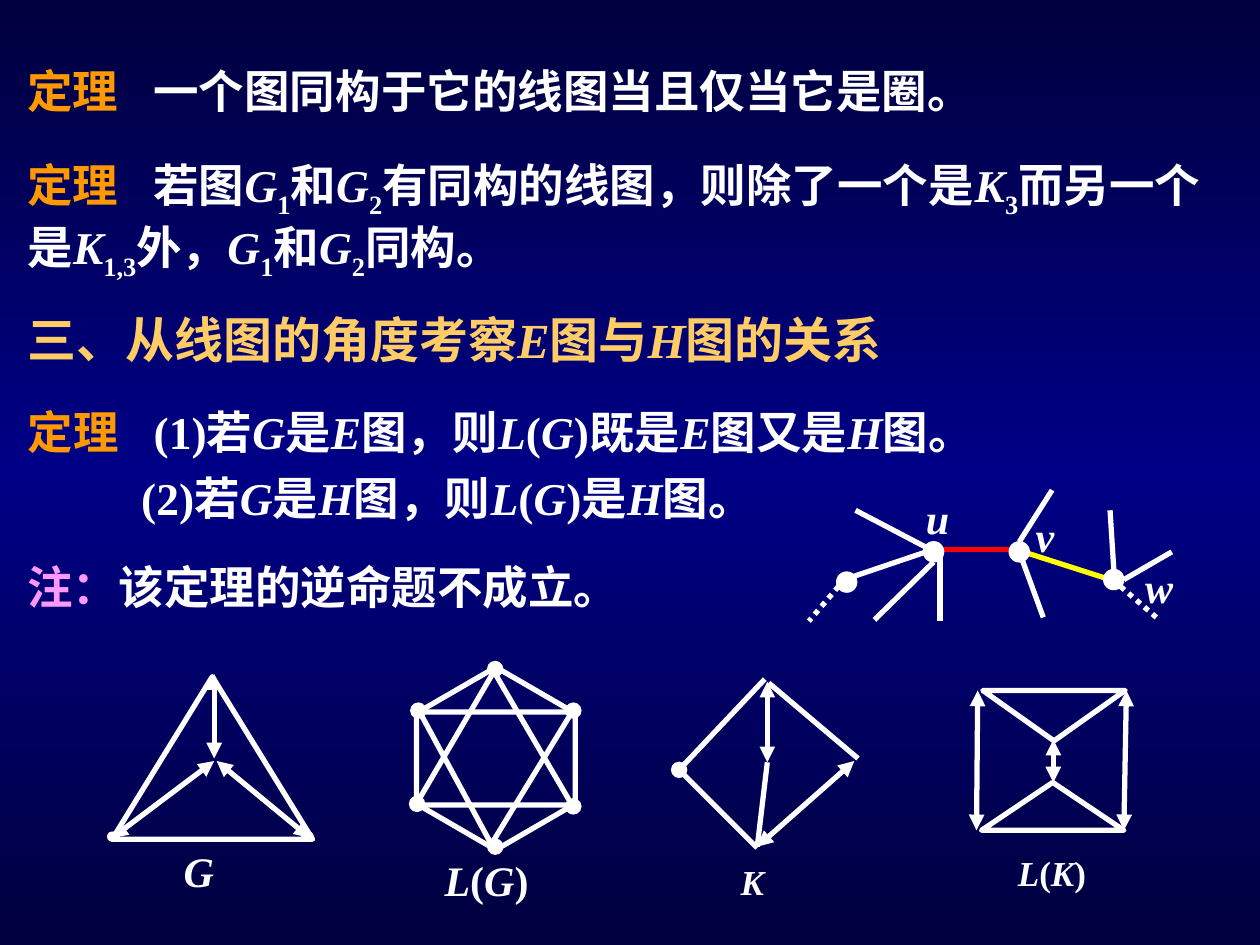
from copy import deepcopy
from dataclasses import dataclass
from itertools import groupby

from pptx import Presentation
from pptx import util as u
from pptx.dml.color import RGBColor
from pptx.enum import dml, lang, shapes, text
from pptx.oxml.ns import qn
from lxml import etree


@dataclass(frozen=True)
class Theme:
    font: str = "Times New Roman"
    white: str = "FFFFFF"
    theorem: str = "FF9900"
    heading: str = "FFCC66"
    note: str = "FF99FF"
    red: str = "FF0000"
    yellow: str = "FFFF00"
    edge_dark: str = "00003E"
    middle: str = "000086"
    heading_size: int = 28
    body_size: int = 26
    label_size: int = 24
    small_size: int = 20
    thick: float = 3
    thin: float = 0.75


def rgb(value):
    return RGBColor.from_string(value)


def styled(markup):
    """Yield (words, italic, subscript); *...* is italic and _..._ is subscript."""
    italic = subscript = False
    for mark, chars in groupby(markup, lambda c: c if c in "*_" else ""):
        if mark == "*":
            italic = not italic
        elif mark == "_":
            subscript = not subscript
        else:
            yield "".join(chars), italic, subscript


class Board:
    """The current slide on a grid of 100 columns by 75 rows."""

    def __init__(self, prs, theme):
        self.t = theme
        self.cell = prs.slide_width / 100
        self.s = prs.slides.add_slide(prs.slide_layouts[1])
        self.title, self.body = self.s.placeholders
        self.layer = self.s.shapes

    def grid(self, *values):
        return [u.Emu(round(v * self.cell)) for v in values]

    def background(self):
        fill = self.s.background.fill
        fill.gradient()
        fill.gradient_angle = 90
        stops = self.s.element.find(".//" + qn("a:gsLst"))
        stops.insert(1, deepcopy(stops[0]))
        colors = (self.t.edge_dark, self.t.middle, self.t.edge_dark)
        for stop, place, color in zip(fill.gradient_stops, (0, 0.5, 1), colors):
            stop.position = place
            stop.color.rgb = rgb(color)

    def group(self):
        self.layer = self.s.shapes.add_group_shape().shapes

    def text(self, box, paragraphs, size, sp=None, wrap=True):
        """Each paragraph is (indent, [(markup, colour), ...])."""
        if sp is None:
            sp = self.layer.add_textbox(*self.grid(*box))
        else:
            sp.left, sp.top, sp.width, sp.height = self.grid(*box)
        tf = sp.text_frame
        tf.word_wrap = wrap
        tf.auto_size = text.MSO_AUTO_SIZE.SHAPE_TO_FIT_TEXT
        tf.vertical_anchor = text.MSO_ANCHOR.TOP
        for i, (indent, parts) in enumerate(paragraphs):
            p = tf.add_paragraph() if i else tf.paragraphs[0]
            p.alignment = text.PP_ALIGN.LEFT
            p.space_before = u.Pt(6 if i else 0)
            pPr = p._p.get_or_add_pPr()
            pPr.set("marL", str(self.grid(indent)[0]))
            pPr.set("indent", "0")
            etree.SubElement(pPr, qn("a:buNone"))
            if any("\t" in markup for markup, _ in parts):
                tabs = etree.SubElement(pPr, qn("a:tabLst"))
                etree.SubElement(tabs, qn("a:tab"),
                                 pos=str(self.grid(9.7)[0]), algn="l")
            for markup, color in parts:
                for words, italic, subscript in styled(markup):
                    self.run(p, words, size, color, italic, subscript)

    def run(self, p, words, size, color, italic, subscript):
        r = p.add_run()
        r.text = words
        r.font.name, r.font.size = self.t.font, u.Pt(size)
        r.font.bold, r.font.italic = True, italic
        r.font.color.rgb = rgb(color)
        r.font.language_id = lang.MSO_LANGUAGE_ID.SIMPLIFIED_CHINESE
        if subscript:
            r._r.get_or_add_rPr().set("baseline", "-25000")

    def label(self, box, markup, size=None, wrap=True):
        self.text(box, [(0, [(markup, self.t.white)])],
                  size or self.t.label_size, wrap=wrap)

    def line(self, start, end, color=None, width=None, dotted=False, ends=None):
        c = self.layer.add_connector(shapes.MSO_CONNECTOR.STRAIGHT,
                                     *self.grid(*start, *end))
        c.line.color.rgb = rgb(color or self.t.white)
        c.line.width = u.Pt(width or self.t.thick)
        if dotted:
            c.line.dash_style = dml.MSO_LINE.ROUND_DOT
        if ends:
            for tag in ("a:headEnd", "a:tailEnd"):
                etree.SubElement(c.line._get_or_add_ln(), qn(tag), type=ends)
        etree.SubElement(c._element.spPr, qn("a:effectLst"))

    def outline(self, kind, box, rotation=0, adjust=None):
        sp = self.layer.add_shape(kind, *self.grid(*box))
        sp.shadow.inherit = False
        sp.fill.background()
        sp.line.color.rgb = rgb(self.t.white)
        sp.line.width = u.Pt(self.t.thick)
        sp.rotation = rotation
        if adjust is not None:
            sp.adjustments[0] = adjust
        return sp

    def dot(self, center, size):
        x, y = center
        sp = self.outline(shapes.MSO_SHAPE.OVAL,
                          (x - size / 2, y - size / 2, size, size))
        sp.fill.solid()
        sp.fill.fore_color.rgb = rgb(self.t.white)
        sp.line.width = u.Pt(self.t.thin)


def statements(b):
    t = b.t
    theorem = ("定理\t", t.theorem)
    b.text((1.2, 4.5, 97.6, 5.4),
           [(0, [theorem, ("一个图同构于它的线图当且仅当它是圈。", t.white)])], t.body_size)
    b.text((1.2, 12, 97.6, 10.9),
           [(0, [theorem, ("若图*G*_1_和*G*_2_有同构的线图，则除了一个是*K*_3_而另一个是"
                           "*K*_1,3_外，*G*_1_和*G*_2_同构。", t.white)])], t.body_size)
    b.text((1.2, 24.1, 75.6, 5.7),
           [(0, [("三、从线图的角度考察*E*图与*H*图的关系", t.heading)])],
           t.heading_size, b.title)
    b.text((1.2, 31.6, 97.6, 10.5),
           [(0, [theorem, ("(1)若*G*是*E*图，则*L*(*G*)既是*E*图又是*H*图。", t.white)]),
            (9, [("(2)若*G*是*H*图，则*L*(*G*)是*H*图。", t.white)])],
           t.body_size, b.body)
    b.text((1.2, 43.9, 95.3, 5.4),
           [(0, [("注：", t.note), ("该定理的逆命题不成立。", t.white)])], t.body_size)


def walk_u_v_w(b):
    b.group()
    start, node_u, node_v, node_w = (67.2, 46.2), (74.1, 43.8), (80.9, 43.8), (88.4, 46)
    b.line((74.1, 43.6), (67, 46))
    b.line((74.1, 43.6), (80.8, 43.6), b.t.red)
    b.line((80.6, 43.6), (88.1, 46), b.t.yellow)
    b.line((88.3, 46), (92, 49.2), dotted=True)
    b.line((67.1, 45.9), (64.2, 49.3), dotted=True)
    for node in (start, node_u, node_v, node_w):
        b.dot(node, 1.6)
    # Other edges at u, v and w
    for tail, tip in (((74.2, 43.8), (67.9, 40.5)), ((74.1, 44.6), (69.4, 49.2)),
                      ((74.6, 44.1), (74.6, 49.3)), ((80.9, 43), (83.5, 38.9)),
                      ((80.9, 43.8), (82.8, 49)), ((89.2, 46), (93, 43.8)),
                      ((88.4, 45.2), (88.1, 40.5))):
        b.line(tail, tip)
    for name, box in (("u", (72.5, 38.6, 3.8, 5)), ("v", (81.2, 40, 3.5, 5)),
                      ("w", (89.9, 44.1, 4.2, 5))):
        b.label(box, f"*{name}*", wrap=False)


def graph_g(b):
    b.group()
    b.line((17, 53.5), (17, 60.2), ends="triangle")
    for x in (8.9, 24.3):
        b.line((x, 66.4), (x + 0.2, 66.4), width=1.5, ends="oval")
    b.line((17, 60.4), (8.9, 66.5), ends="triangle")
    b.line((17.2, 60.4), (24.6, 66.5), ends="triangle")
    b.outline(shapes.MSO_SHAPE.ISOSCELES_TRIANGLE, (8.9, 53.7, 15.9, 12.9))
    b.label((13.6, 66.6, 6.3, 5), "*G*")


def line_graph_of_g(b):
    b.group()
    triangle = shapes.MSO_SHAPE.ISOSCELES_TRIANGLE
    b.outline(shapes.MSO_SHAPE.HEXAGON, (32.1, 53.9, 14.5, 12.6), 90, 0.29)
    b.outline(triangle, (33, 53.3, 12.4, 10.6))
    b.outline(triangle, (33.3, 56.5, 12.1, 10.5), 180, 0.53)
    for vertex in ((39.3, 67.2), (45.5, 64), (33.1, 63.8),
                   (33.2, 56.4), (39.3, 53.1), (45.5, 56.4)):
        b.dot(vertex, 1.2)
    b.label((34.3, 67.3, 10.1, 5), "*L*(*G*)")


def graph_k(b):
    b.group()
    left, hub, bottom = (53.9, 61.1), (60.9, 60.5), (60.1, 67.2)
    b.line(hub, (60.9, 54.1), ends="triangle")
    b.line((61, 54.2), (68.1, 60.2))
    b.line((60.7, 53.9), left)
    b.line((67.8, 60.4), bottom, ends="triangle")
    b.line(left, (60.1, 67.3))
    b.line(hub, bottom)
    b.dot(left, 1.2)
    b.label((57.8, 67.8, 3.8, 4.4), "*K*", b.t.small_size, wrap=False)


def line_graph_of_k(b):
    b.group()
    triangle = shapes.MSO_SHAPE.ISOSCELES_TRIANGLE
    b.outline(triangle, (77.9, 62.1, 11.3, 3.8))
    b.outline(triangle, (78, 54.8, 11.3, 4), 180)
    b.line((83.6, 58.7), (83.6, 62.1), ends="triangle")
    b.line((77.6, 54.8), (77.5, 65.9), ends="triangle")
    b.line((89.4, 54.8), (89.2, 65.9), ends="triangle")
    b.label((79.8, 67.1, 8.7, 4.4), "*L*(*K*)", b.t.small_size)


def main():
    prs = Presentation()
    prs.slide_width, prs.slide_height = u.Inches(10), u.Inches(7.5)
    b = Board(prs, Theme())
    b.background()
    for part in (statements, walk_u_v_w, graph_g, line_graph_of_g,
                 graph_k, line_graph_of_k):
        part(b)
    prs.save("out.pptx")


if __name__ == "__main__":
    main()
